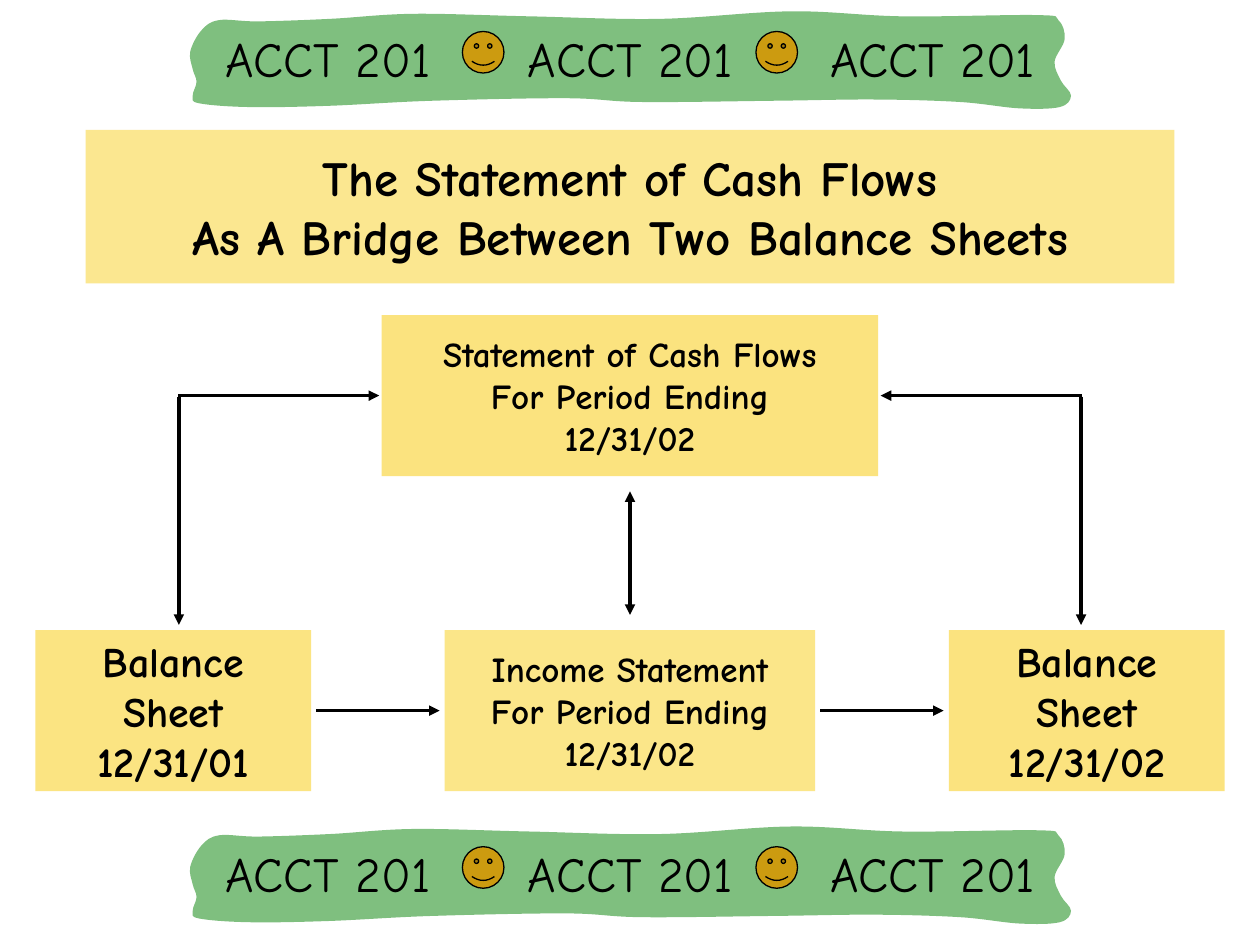
"""Build the slide on the cash flow statement as a bridge between balance sheets."""
from dataclasses import dataclass
from typing import Any

from lxml.etree import SubElement
from pptx import Presentation
from pptx.dml.color import RGBColor
from pptx.enum.shapes import MSO_CONNECTOR, MSO_SHAPE
from pptx.enum.text import MSO_ANCHOR, MSO_AUTO_SIZE, PP_ALIGN
from pptx.oxml.ns import qn
from pptx.util import Inches, Pt


@dataclass(frozen=True)
class Theme:
    """Colours, font and type sizes of the slide."""
    font: str = "Comic Neue"
    ink: RGBColor = RGBColor(0, 0, 0)
    gold: RGBColor = RGBColor(0xF8, 0xCB, 0x0A)
    green: RGBColor = RGBColor(0, 0x80, 0)
    smiley: RGBColor = RGBColor(0xCC, 0x9B, 0x10)
    title: int = 28
    banner: int = 28
    sheet: int = 24
    statement: int = 20


@dataclass(frozen=True)
class Box:
    """A statement box with its text."""
    x: float
    y: float
    w: float
    h: float
    alpha: int
    size: int
    lines: tuple[str, ...]


@dataclass(frozen=True)
class Arrow:
    """A straight line with optional heads."""
    start: tuple[float, float]
    end: tuple[float, float]
    head: bool = False
    tail: bool = True


T = Theme()
PERIOD = ("For Period Ending", "12/31/02")
TITLE = Box(0.68, 1.03, 8.64, 1.22, 45, T.title,
            ("The Statement of Cash Flows", "As A Bridge Between Two Balance Sheets"))
BOXES = (
    Box(3.53, 5, 2.94, 1.28, 48, T.statement, ("Income Statement", *PERIOD)),
    Box(0.28, 5, 2.19, 1.28, 51, T.sheet, ("Balance", "Sheet", "12/31/01")),
    Box(7.53, 5, 2.19, 1.28, 52, T.sheet, ("Balance", "Sheet", "12/31/02")),
    Box(3.03, 2.5, 3.94, 1.28, 52, T.statement, ("Statement of Cash Flows", *PERIOD)),
)
ARROWS = (
    Arrow((5, 3.9), (5, 4.88), head=True),
    Arrow((3.01, 3.14), (1.41, 3.14), head=True, tail=False),
    Arrow((1.42, 3.15), (1.42, 4.96)),
    Arrow((8.58, 3.15), (8.58, 4.96)),
    Arrow((8.59, 3.14), (6.99, 3.14)),
    Arrow((2.51, 5.64), (3.49, 5.64)),
    Arrow((6.51, 5.64), (7.49, 5.64)),
)
BANNER_TOPS = (0.08, 6.55)
BANNER_EDGE = (
    (6.95, 0.71), (6.14, 0.72), (5.09, 0.73), (4.5, 0.7), (3.43, 0.72), (2.61, 0.76),
    (1.98, 0.77), (1.58, 0.74), (1.53, 0.68), (1.56, 0.57), (1.53, 0.47), (1.51, 0.33),
    (1.6, 0.16), (1.74, 0.08), (2.05, 0.09), (2.62, 0.07), (3.28, 0.03), (4.2, 0.05),
    (5.24, 0.07), (6.28, 0.01), (7.16, 0.05), (8.23, 0.04), (8.4, 0.08), (8.45, 0.23),
    (8.37, 0.41), (8.42, 0.56), (8.5, 0.68), (8.41, 0.77), (8.09, 0.78), (7.62, 0.73),
)


def set_format(obj: Any, values: dict[str, Any]) -> None:
    """Set each named attribute on an object."""
    for name, value in values.items():
        setattr(obj, name, value)


def fill_solid(sp: Any, color: RGBColor, alpha: int = 100) -> None:
    """Give a shape a solid fill of the given opacity in percent."""
    sp.fill.solid()
    sp.fill.fore_color.rgb = color
    if alpha < 100:
        clr = sp.fill._xPr.find(qn("a:solidFill"))[0]
        SubElement(clr, qn("a:alpha"), val=str(alpha * 1000))


def write_lines(sp: Any, lines: tuple[str, ...], size: int, bold: bool,
                align: PP_ALIGN, before: int = 0) -> None:
    """Write one formatted paragraph for each line."""
    tf = sp.text_frame
    set_format(tf, {"word_wrap": True, "auto_size": MSO_AUTO_SIZE.NONE,
                    "vertical_anchor": MSO_ANCHOR.MIDDLE})
    for i, line in enumerate(lines):
        p = tf.add_paragraph() if i else tf.paragraphs[0]
        set_format(p, {"alignment": align, "space_before": Pt(before)})
        r = p.add_run()
        r.text = line
        set_format(r.font, {"name": T.font, "size": Pt(size), "bold": bold})
        r.font.color.rgb = T.ink


def fill_box(sp: Any, box: Box) -> None:
    """Place, fill and letter the shape of a box."""
    set_format(sp, {"left": Inches(box.x), "top": Inches(box.y),
                    "width": Inches(box.w), "height": Inches(box.h)})
    fill_solid(sp, T.gold, box.alpha)
    sp.line.fill.background()
    write_lines(sp, box.lines, box.size, True, PP_ALIGN.CENTER)


def add_box(s: Any, box: Box) -> None:
    """Add a statement box."""
    sp = s.shapes.add_shape(MSO_SHAPE.RECTANGLE, 0, 0, 0, 0)
    sp.shadow.inherit = False
    fill_box(sp, box)


def add_arrow(s: Any, arrow: Arrow) -> None:
    """Add a line with its heads."""
    points = [Inches(v) for v in (*arrow.start, *arrow.end)]
    cxn = s.shapes.add_connector(MSO_CONNECTOR.STRAIGHT, *points)
    cxn.line.color.rgb = T.ink
    cxn.line.width = Pt(2)
    ln = cxn.line._get_or_add_ln()
    for tag, shown in (("a:headEnd", arrow.head), ("a:tailEnd", arrow.tail)):
        if shown:
            SubElement(ln, qn(tag), type="triangle")
    SubElement(cxn._element.spPr, qn("a:effectLst"))


def round_outline(sp: Any) -> None:
    """Turn the straight segments of a closed outline into smooth curves."""
    segments = list(sp._element.iter(qn("a:lnTo")))
    pts = [(int(seg[0].get("x")), int(seg[0].get("y"))) for seg in segments]
    count = len(pts)
    for i, seg in enumerate(segments):
        a, b, c, d = (pts[(i + k) % count] for k in (-2, -1, 0, 1))
        first = [b[k] + (c[k] - a[k]) // 6 for k in (0, 1)]
        second = [c[k] - (d[k] - b[k]) // 6 for k in (0, 1)]
        seg.remove(seg[0])
        seg.tag = qn("a:cubicBezTo")
        for x, y in (first, second, c):
            SubElement(seg, qn("a:pt"), x=str(x), y=str(y))


def add_banner(s: Any, top: float) -> None:
    """Add a wavy course banner with two smileys."""
    g = s.shapes.add_group_shape()
    edge = [(Inches(x), Inches(top + y)) for x, y in BANNER_EDGE]
    builder = g.shapes.build_freeform(*edge[0])
    builder.add_line_segments(edge[1:] + edge[:1], close=True)
    ribbon = builder.convert_to_shape()
    round_outline(ribbon)
    ribbon.shadow.inherit = False
    fill_solid(ribbon, T.green, 50)
    ribbon.line.fill.background()
    tb = g.shapes.add_textbox(Inches(1.67), Inches(top + 0.09), Inches(6.67), Inches(0.58))
    write_lines(tb, ("\t".join(["ACCT 201"] * 3),), T.banner, False, PP_ALIGN.LEFT, 7)
    tb.text_frame.margin_left = Inches(0.12)
    tabs = SubElement(tb.text_frame.paragraphs[0]._p.get_or_add_pPr(), qn("a:tabLst"))
    for stop in (2.4, 4.8):
        SubElement(tabs, qn("a:tab"), pos=str(Inches(stop)), algn="l")
    for x in (3.67, 6):
        sp = g.shapes.add_shape(MSO_SHAPE.SMILEY_FACE, Inches(x), Inches(top + 0.17),
                                Inches(0.33), Inches(0.33))
        sp.shadow.inherit = False
        fill_solid(sp, T.smiley)
        sp.line.color.rgb = T.ink
        sp.line.width = Pt(0.75)


def main() -> None:
    """Build and save the slide."""
    prs = Presentation()
    set_format(prs, {"slide_width": Inches(10), "slide_height": Inches(7.5)})
    s = prs.slides.add_slide(prs.slide_layouts[5])
    fill_box(s.shapes.title, TITLE)
    for box in BOXES:
        add_box(s, box)
    for arrow in ARROWS:
        add_arrow(s, arrow)
    for top in BANNER_TOPS:
        add_banner(s, top)
    prs.save("out.pptx")


if __name__ == "__main__":
    main()
